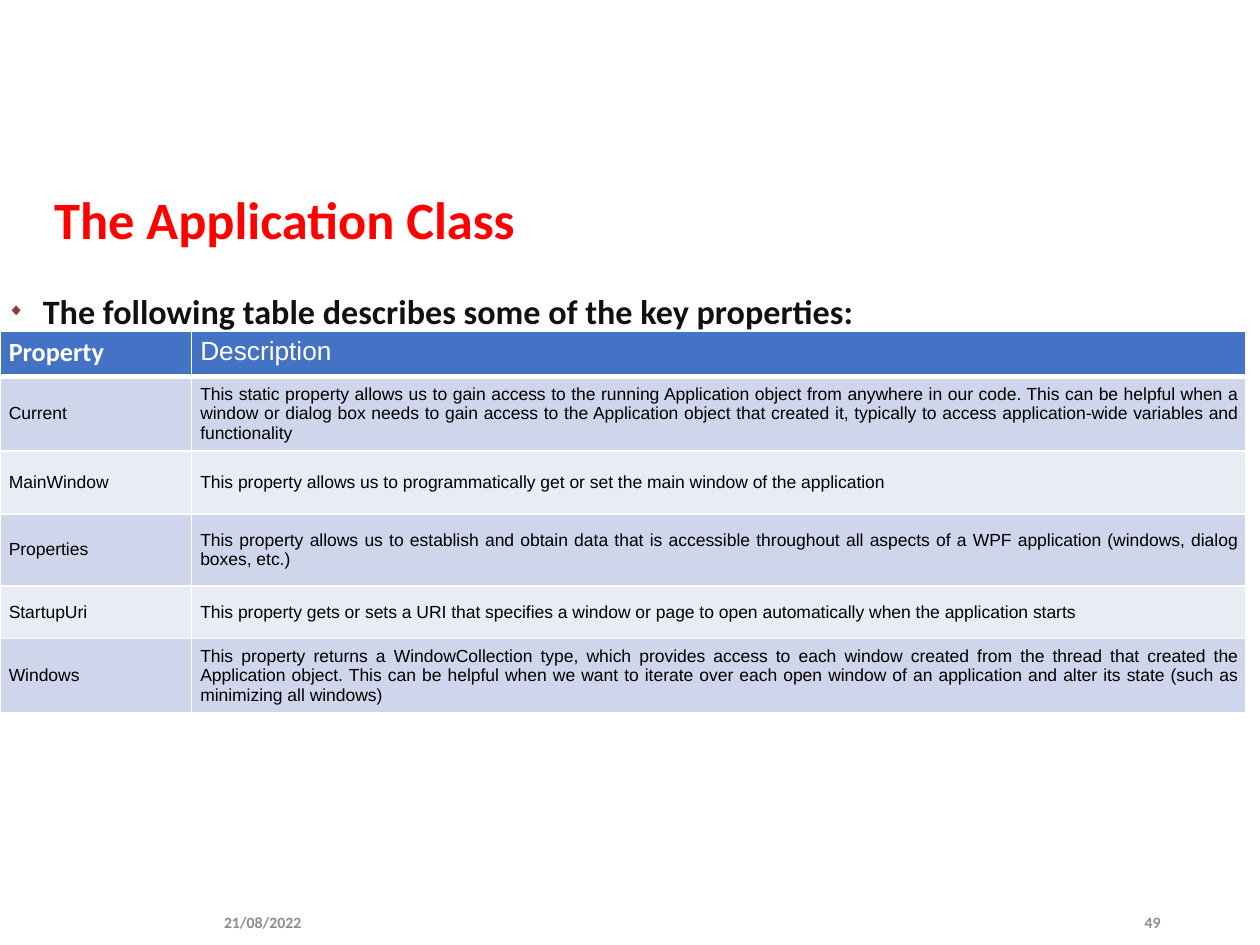
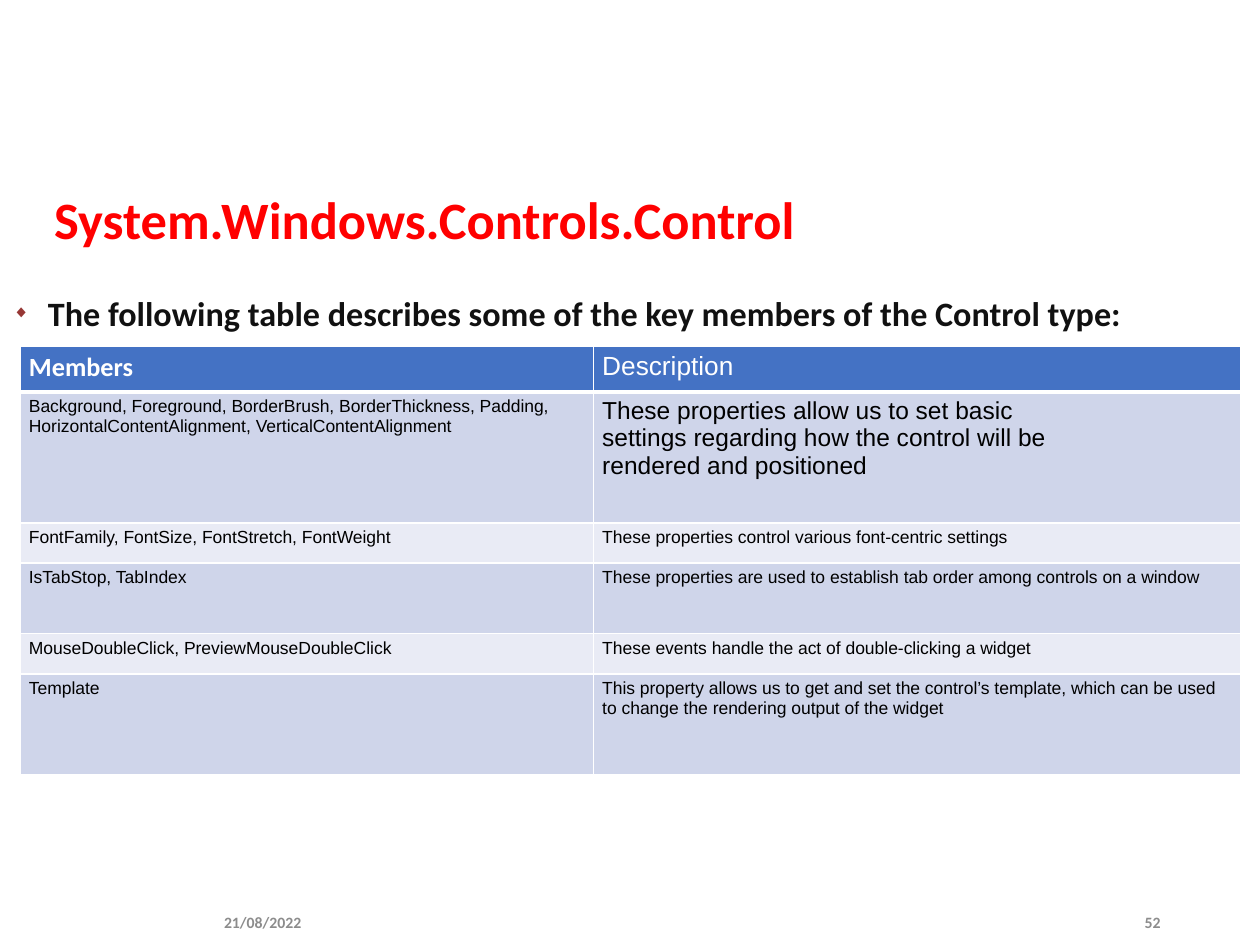
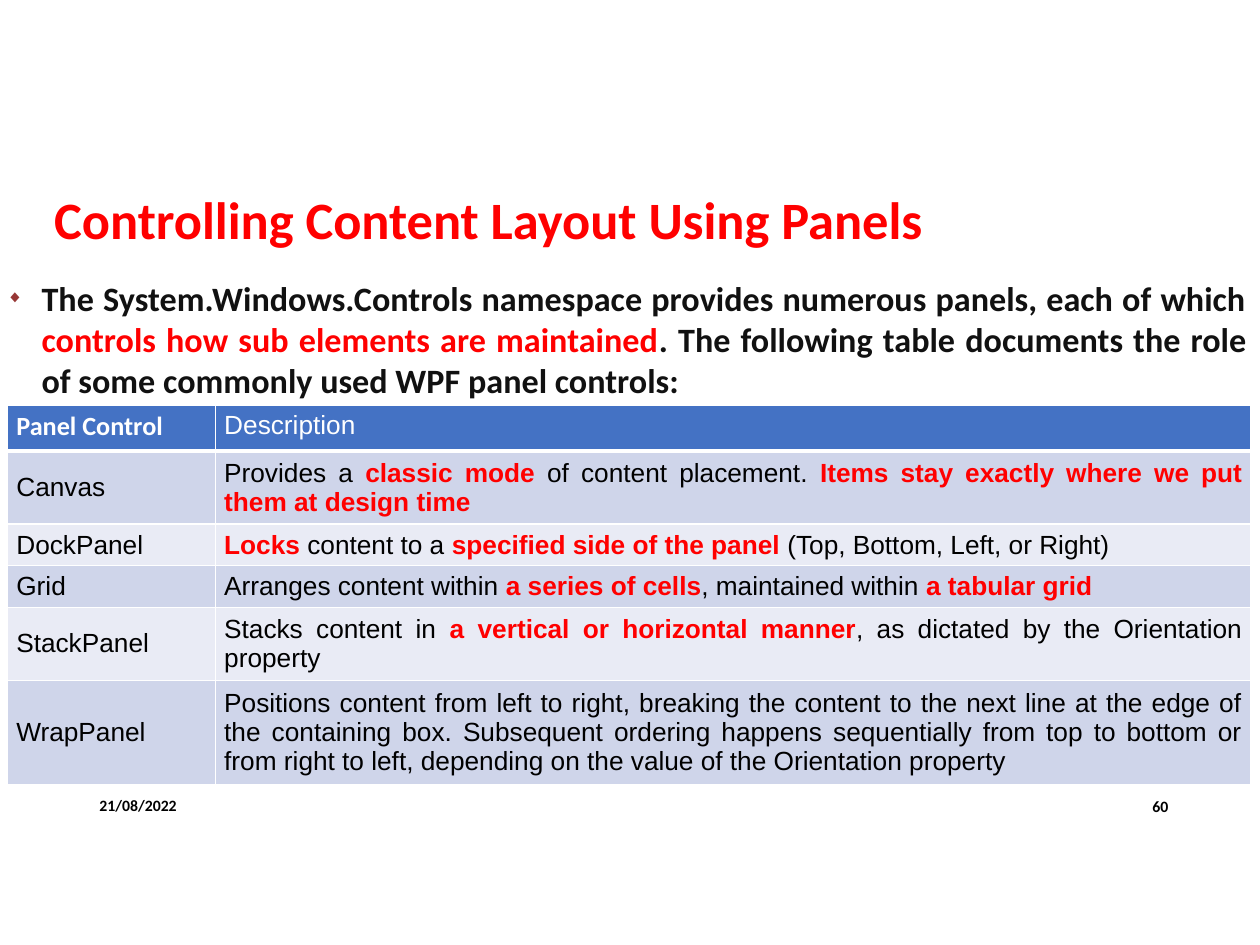
from lxml.etree import SubElement
from pptx import Presentation
from pptx.dml.color import RGBColor as RGB
from pptx.enum.text import MSO_ANCHOR as ANCHOR, MSO_AUTO_SIZE as AUTO, PP_ALIGN as ALIGN
from pptx.oxml import parse_xml
from pptx.oxml.ns import nsdecls, qn
from pptx.util import Inches, Pt

RED = RGB(0xFF, 0x00, 0x00)
BLACK = RGB(0x00, 0x00, 0x00)
WHITE = RGB(0xFF, 0xFF, 0xFF)
INK = RGB(0x11, 0x11, 0x11)
GRAY = RGB(0x8C, 0x8C, 0x8C)
BULLET = RGB(0x97, 0x37, 0x35)
HEADER = RGB(0x44, 0x72, 0xC4)
BANDS = [RGB(0xE9, 0xEB, 0xF5), RGB(0xCF, 0xD5, 0xEA)]


class Deck:
    """Holds the shared style and the current slide, and draws each kind of element."""

    title_font = dict(name="Calibri", size=Pt(30), bold=True)
    lead_font = dict(name="Calibri", size=Pt(19.5), bold=True)
    footer_font = dict(name="Calibri", size=Pt(9), bold=True)
    head_font = dict(name="Calibri", size=Pt(15), bold=True)
    plain_head_font = dict(name="Arial", size=Pt(15), bold=False)
    margins = dict(margin_left=Inches(0.07), margin_right=Inches(0.07),
                   margin_top=Inches(0.04), margin_bottom=Inches(0.04))

    def __init__(self):
        self.prs = Presentation()
        self.prs.slide_width, self.prs.slide_height = Inches(10), Inches(7.5)

    def new_slide(self):
        self.s = self.prs.slides.add_slide(self.prs.slide_layouts[1])

    def apply(self, obj, values):
        for key, value in values.items():
            setattr(obj, key, value)

    def place(self, sp, box):
        names = ("left", "top", "width", "height")
        self.apply(sp, dict(zip(names, map(Inches, box))))

    def add_text(self, tf, text, font, color, **para):
        for i, line in enumerate(text.split("\n")):
            p = tf.add_paragraph() if i else tf.paragraphs[0]
            self.apply(p, para)
            for j, part in enumerate(line.split("*")):
                if part:
                    r = p.add_run()
                    r.text = part
                    self.apply(r.font, font)
                    r.font.color.rgb = color
                    if j % 2:
                        r.font.bold = True
                        r.font.color.rgb = RED

    def title(self, text, width=9.15):
        sp = self.s.shapes.title
        self.place(sp, (0.33, 1.53, width, 0.47))
        self.apply(sp.text_frame, dict(vertical_anchor=ANCHOR.MIDDLE, auto_size=AUTO.NONE))
        self.add_text(sp.text_frame, text, self.title_font, RED,
                      alignment=ALIGN.LEFT, line_spacing=0.9)

    def lead(self, text, box, spacing=1.5):
        sp = self.s.placeholders[1]
        self.place(sp, box)
        tf = sp.text_frame
        tf.auto_size = AUTO.SHAPE_TO_FIT_TEXT
        self.add_text(tf, text, self.lead_font, INK, alignment=ALIGN.JUSTIFY,
                      line_spacing=spacing, space_before=Pt(7.5))
        pPr = tf.paragraphs[0]._p.get_or_add_pPr()
        pPr.set("marL", str(Inches(0.28)))
        pPr.set("indent", str(Inches(-0.28)))
        color = SubElement(pPr, qn("a:buClr"))
        SubElement(color, qn("a:srgbClr"), val=str(BULLET))
        SubElement(pPr, qn("a:buSzPct"), val="50000")
        SubElement(pPr, qn("a:buChar"), char="◆")
        tabs = SubElement(pPr, qn("a:tabLst"))
        SubElement(tabs, qn("a:tab"), pos=str(Inches(0.2)), algn="l")

    def footer(self, number, date_box=(1.68, 7.13, 1.26, 0.38),
               number_box=(7.06, 7.14, 2.25, 0.36), color=GRAY):
        for text, box, align in (("21/08/2022", date_box, ALIGN.LEFT),
                                 (number, number_box, ALIGN.RIGHT)):
            tf = self.s.shapes.add_textbox(*map(Inches, box)).text_frame
            self.apply(tf, dict(word_wrap=True, vertical_anchor=ANCHOR.MIDDLE))
            self.add_text(tf, text, self.footer_font, color, alignment=align)

    def borders(self, cell, bottom):
        tcPr = cell._tc.get_or_add_tcPr()
        for i, (side, width) in enumerate((("L", 1), ("R", 1), ("T", 1), ("B", bottom))):
            tcPr.insert(i, parse_xml(
                f'<a:ln{side} {nsdecls("a")} w="{Pt(width)}"><a:solidFill>'
                f'<a:srgbClr val="{WHITE}"/></a:solidFill></a:ln{side}>'))

    def table(self, rows, left, top, widths, heights, size=10,
              align=ALIGN.JUSTIFY, anchor=ANCHOR.MIDDLE, sizes={}):
        box = map(Inches, (left, top, sum(widths), sum(heights)))
        tbl = self.s.shapes.add_table(len(rows), len(widths), *box).table
        for col, width in zip(tbl.columns, widths):
            col.width = Inches(width)
        for i, (row, height) in enumerate(zip(rows, heights)):
            tbl.rows[i].height = Inches(height)
            for j, text in enumerate(row):
                cell = tbl.cell(i, j)
                self.apply(cell, self.margins)
                cell.vertical_anchor = anchor if i else ANCHOR.TOP
                cell.fill.solid()
                cell.fill.fore_color.rgb = BANDS[i % 2] if i else HEADER
                self.borders(cell, 1 if i else 3)
                if i:
                    font = dict(name="Arial", size=Pt(sizes.get((i, j), size)), bold=False)
                else:
                    font = self.plain_head_font if j else self.head_font
                self.add_text(cell.text_frame, text, font, BLACK if i else WHITE,
                              alignment=align)


APPLICATION = [
    ("Property", "Description"),
    ("Current", "This static property allows us to gain access to the running Application object "
     "from anywhere in our code. This can be helpful when a window or dialog box needs to gain "
     "access to the Application object that created it, typically to access application-wide "
     "variables and functionality"),
    ("MainWindow", "This property allows us to programmatically get or set the main window of "
     "the application"),
    ("Properties", "This property allows us to establish and obtain data that is accessible "
     "throughout all aspects of a WPF application (windows, dialog boxes, etc.)"),
    ("StartupUri", "This property gets or sets a URI that specifies a window or page to open "
     "automatically when the application starts"),
    ("Windows", "This property returns a WindowCollection type, which provides access to each "
     "window created from the thread that created the Application object. This can be helpful "
     "when we want to iterate over each open window of an application and alter its state "
     "(such as minimizing all windows)"),
]
CONTROL = [
    ("Members", "Description"),
    ("Background, Foreground, BorderBrush, BorderThickness, Padding, "
     "HorizontalContentAlignment, VerticalContentAlignment",
     "These properties allow us to set basic\nsettings regarding how the control will be\n"
     "rendered and positioned"),
    ("FontFamily, FontSize, FontStretch, FontWeight",
     "These properties control various font-centric settings"),
    ("IsTabStop, TabIndex",
     "These properties are used to establish tab order among controls on a window"),
    ("MouseDoubleClick, PreviewMouseDoubleClick",
     "These events handle the act of double-clicking a widget"),
    ("Template", "This property allows us to get and set the control’s template, which can be "
     "used to change the rendering output of the widget"),
]
PANELS = [
    ("Panel Control", "Description"),
    ("Canvas", "Provides a *classic mode *of content placement. "
     "*Items stay exactly where we put them at design time*"),
    ("DockPanel", "*Locks* content to a *specified side of the panel *"
     "(Top, Bottom, Left, or Right)"),
    ("Grid", "Arranges content within *a series of cells*, maintained within *a tabular grid*"),
    ("StackPanel", "Stacks content in *a vertical or horizontal manner*, as dictated by the "
     "Orientation property"),
    ("WrapPanel", "Positions content from left to right, breaking the content to the next line "
     "at the edge of the containing box. Subsequent ordering happens sequentially from top to "
     "bottom or from right to left, depending on the value of the Orientation property"),
]


def main():
    deck = Deck()

    deck.new_slide()
    deck.title("The Application Class")
    deck.lead("The following table describes some of the key properties:",
              (-0.04, 2.09, 7.5, 0.54))
    deck.table(APPLICATION, 0, 2.63, (1.52, 8.37), (0.36, 0.59, 0.5, 0.57, 0.42, 0.59))
    deck.footer("49")

    deck.new_slide()
    deck.title("System.Windows.Controls.Control", 9.53)
    deck.lead("The following table describes some of the key members of the Control type:",
              (0, 2.11, 9.95, 0.54))
    deck.table(CONTROL, 0.16, 2.75, (4.55, 5.14), (0.36, 1.04, 0.32, 0.56, 0.32, 0.8),
               align=ALIGN.LEFT, anchor=ANCHOR.TOP, sizes={(1, 1): 14})
    deck.footer("52")

    deck.new_slide()
    deck.title("Controlling Content Layout Using Panels")
    deck.lead("The System.Windows.Controls namespace provides numerous panels, each of which "
              "*controls how sub elements are maintained*. The following table documents the "
              "role of some commonly used WPF panel controls:",
              (-0.05, 2.15, 10.05, 1.09), spacing=1.0)
    deck.table(PANELS, 0.06, 3.22, (1.65, 8.22), (0.36, 0.57, 0.32, 0.33, 0.32, 0.82), size=15)
    deck.footer("60", (0.69, 6.24, 2.25, 0.3), (7.12, 6.25, 2.25, 0.3), BLACK)

    deck.prs.save("out.pptx")


if __name__ == "__main__":
    main()
